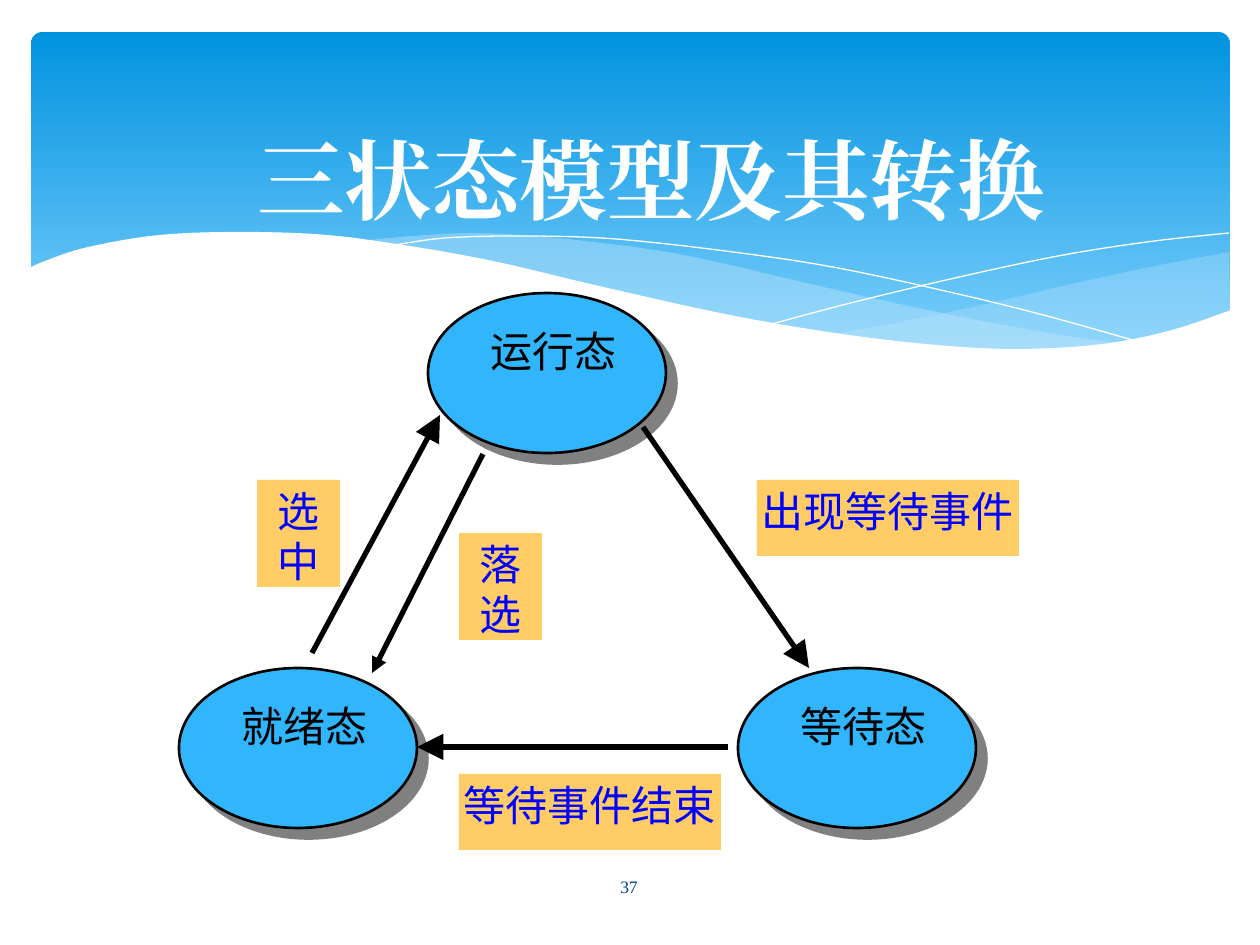
"""Build the slide on the three-state process model and its transitions."""
import pptx
import pptx.util
import pptx.dml.color
import pptx.enum.shapes
import pptx.enum.text
import pptx.oxml
import pptx.oxml.ns
import lxml.etree

PX = 914400 / 126
BLACK = pptx.dml.color.RGBColor(0x00, 0x00, 0x00)
WHITE = pptx.dml.color.RGBColor(0xFF, 0xFF, 0xFF)
SKY_TOP = pptx.dml.color.RGBColor(0x02, 0x93, 0xE0)
SKY_BOTTOM = pptx.dml.color.RGBColor(0x83, 0xD3, 0xFE)
VEIL = pptx.dml.color.RGBColor(0xC6, 0xE7, 0xFC)
STATE_BLUE = pptx.dml.color.RGBColor(0x31, 0xB6, 0xFD)
LABEL_ORANGE = pptx.dml.color.RGBColor(0xFF, 0xCC, 0x66)
LABEL_BLUE = pptx.dml.color.RGBColor(0x00, 0x00, 0xFF)
NUMBER_BLUE = pptx.dml.color.RGBColor(0x07, 0x3E, 0x87)
SHADOW_GREY = pptx.dml.color.RGBColor(0x80, 0x80, 0x80)
SERIF = "Times New Roman"
SANS = "Noto Sans CJK JP"
SHAPE = pptx.enum.shapes.MSO_SHAPE
ANCHOR = pptx.enum.text.MSO_ANCHOR


def emu(length):
    return pptx.util.Emu(round(length * PX))


def add_xml(parent, tag, **attributes):
    return lxml.etree.SubElement(parent, pptx.oxml.ns.qn(tag), attributes)


def smooth(knots, steps=5):
    """Return points on a Catmull-Rom curve through the knots."""
    padded = [knots[0], *knots, knots[-1]]
    points = [knots[0]]
    for a, b, c, d in zip(padded, padded[1:], padded[2:], padded[3:]):
        for step in range(1, steps + 1):
            t = step / steps
            points.append(tuple(
                (2 * q + (r - p) * t + (2 * p - 5 * q + 4 * r - s) * t ** 2
                 + (3 * q - p - 3 * r + s) * t ** 3) / 2
                for p, q, r, s in zip(a, b, c, d)))
    return points


class StateSlide:
    """Hold the current slide and the style of its elements."""

    def __init__(self, page):
        self.page = page
        self.shapes = page.shapes

    def fill_text(self, box, text, font, insets, anchor):
        frame = box.text_frame
        names = ("margin_left", "margin_top", "margin_right", "margin_bottom")
        layout = dict(zip(names, map(pptx.util.Inches, insets)),
                      word_wrap=True, vertical_anchor=anchor)
        for name, value in layout.items():
            setattr(frame, name, value)
        para = frame.paragraphs[0]
        para.alignment = pptx.enum.text.PP_ALIGN.CENTER
        span = para.add_run()
        span.text = text
        color = font["color"]
        for name, value in font.items():
            if name != "color":
                setattr(span.font, name, value)
        span.font.color.rgb = color
        add_xml(span._r.get_or_add_rPr(), "a:ea", typeface=font["name"])

    def shape(self, kind, bounds, fill):
        shape = self.shapes.add_shape(kind, *map(emu, bounds))
        shape.shadow.inherit = False
        shape.line.fill.background()
        if fill:
            shape.fill.solid()
            shape.fill.fore_color.rgb = fill
        return shape

    def banner(self, bounds):
        banner = self.shape(SHAPE.ROUNDED_RECTANGLE, bounds, None)
        banner.adjustments[0] = 0.034
        banner.fill.gradient()
        banner.fill.gradient_angle = 270
        for stop, color in zip(banner.fill.gradient_stops, (SKY_TOP, SKY_BOTTOM)):
            stop.color.rgb = color

    def wave(self, points, fill=None, opacity=100):
        corners = [(emu(x), emu(y)) for x, y in points]
        builder = self.shapes.build_freeform(*corners[0])
        builder.add_line_segments(corners[1:], close=fill is not None)
        wave = builder.convert_to_shape()
        wave.shadow.inherit = False
        if fill is None:
            wave.fill.background()
            wave.line.color.rgb = WHITE
            wave.line.width = 0
            return
        wave.line.fill.background()
        wave.fill.solid()
        wave.fill.fore_color.rgb = fill
        if opacity < 100:
            color = wave._element.spPr.find(".//" + pptx.oxml.ns.qn("a:srgbClr"))
            add_xml(color, "a:alpha", val=str(opacity * 1000))

    def text(self, bounds, text, size, color, bold=False):
        box = self.shapes.add_textbox(*map(emu, bounds))
        font = dict(name=SERIF, size=pptx.util.Pt(size), color=color, bold=bold)
        self.fill_text(box, text, font, (0.1, 0.05, 0.1, 0.05), ANCHOR.MIDDLE)

    def state(self, left, top):
        oval = self.shape(SHAPE.OVAL, (left, top, 238, 160), STATE_BLUE)
        oval.line.color.rgb = BLACK
        oval.line.width = pptx.util.Pt(1.5)
        effects = oval._element.spPr.find(pptx.oxml.ns.qn("a:effectLst"))
        shadow = add_xml(effects, "a:outerShdw", dist=str(int(pptx.util.Pt(8.5))),
                         dir="2700000", algn="ctr", rotWithShape="0")
        add_xml(shadow, "a:srgbClr", val=str(SHADOW_GREY))

    def label(self, bounds, text, fill, color):
        box = self.shape(SHAPE.RECTANGLE, bounds, fill)
        font = dict(name=SANS, size=pptx.util.Pt(24), color=color)
        self.fill_text(box, text, font, (0, 0.04, 0, 0), ANCHOR.TOP)

    def arrow(self, start, end, head="lg"):
        arrow = self.shapes.add_connector(
            pptx.enum.shapes.MSO_CONNECTOR.STRAIGHT, *map(emu, start + end))
        arrow.line.color.rgb = BLACK
        arrow.line.width = pptx.util.Pt(3)
        outline = arrow._element.spPr.find(pptx.oxml.ns.qn("a:ln"))
        add_xml(outline, "a:tailEnd", type="triangle", w=head, len=head)
        add_xml(arrow._element.spPr, "a:effectLst")


def main():
    deck = pptx.Presentation()
    deck.slide_width, deck.slide_height = emu(1260), emu(945)
    slide = StateSlide(deck.slides.add_slide(deck.slide_layouts[6]))

    slide.banner((31, 32, 1199, 340))
    slide.wave(
        smooth([(1229, 252), (1160, 265), (1085, 281), (982, 305), (890, 324), (833, 334)])
        + smooth([(833, 334), (905, 344), (984, 349), (1052, 349), (1120, 343),
                  (1178, 330), (1230, 311)]), VEIL, 29)
    slide.wave(
        smooth([(1125, 344), (1055, 334), (977, 320), (890, 302), (793, 280), (717, 262),
                (648, 249), (556, 238), (479, 233), (413, 236), (360, 241)])
        + smooth([(360, 241), (431, 251), (509, 266), (619, 292), (713, 312), (819, 333),
                  (910, 345), (989, 350), (1056, 350), (1125, 344)]), VEIL, 40)
    slide.wave(smooth([(389, 246), (445, 238), (524, 236), (616, 239), (733, 252),
                       (838, 268), (958, 294), (1047, 316), (1143, 343)]))
    slide.wave(smooth([(772, 324), (847, 304), (942, 281), (1053, 257), (1147, 242),
                       (1229, 233)]))
    slide.wave(
        smooth([(1231, 310), (1172, 330), (1103, 344), (1019, 349), (937, 345), (842, 334),
                (730, 315), (599, 286), (493, 261), (397, 244), (315, 234), (222, 232),
                (150, 236), (84, 248), (45, 261), (29, 268)])
        + [(29, 415), (1231, 415)], WHITE)

    slide.text((116, 126, 1071, 105), "三状态模型及其转换", 50, WHITE, bold=True)

    states = (("运行态", 428, 293), ("就绪态", 179, 668), ("等待态", 738, 668))
    for name, left, top in states:
        slide.state(left, top)
    slide.arrow((483, 454), (372, 673), head="med")
    slide.arrow((643, 427), (809, 668))
    slide.arrow((728, 747), (417, 747))
    for name, left, top in states:
        slide.label((left + 54, top + 27, 142, 107), name, STATE_BLUE, BLACK)
    events = (("选中", 257, 480, 83, 107), ("落选", 459, 533, 83, 107),
              ("出现等待事件", 757, 480, 262, 76), ("等待事件结束", 459, 774, 262, 76))
    for name, *bounds in events:
        slide.label(bounds, name, LABEL_ORANGE, LABEL_BLUE)
    slide.arrow((312, 653), (440, 415))

    slide.text((549, 862, 160, 50), "37", 10, NUMBER_BLUE)
    deck.save("out.pptx")


if __name__ == "__main__":
    main()
